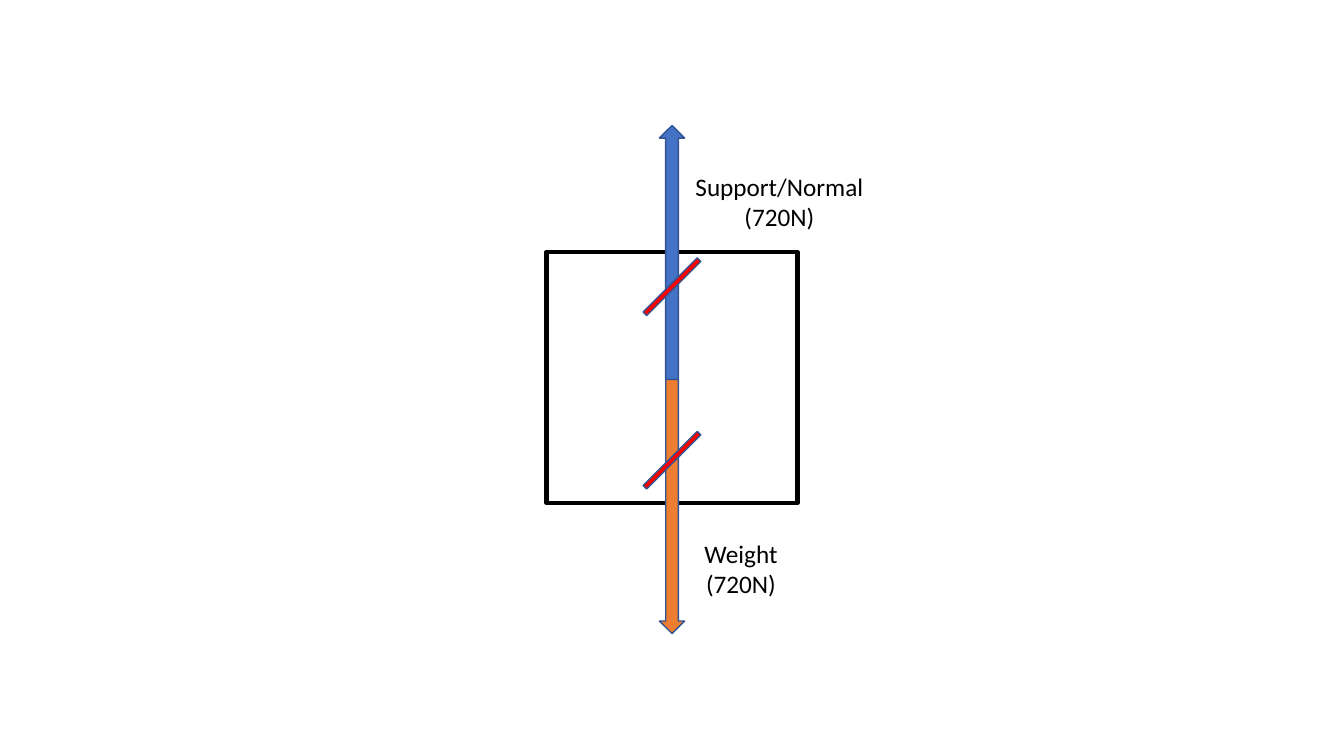
from pptx import Presentation
from pptx.dml.color import RGBColor
from pptx.enum.shapes import MSO_SHAPE
from pptx.enum.text import MSO_AUTO_SIZE, PP_ALIGN
from pptx.util import Inches, Pt

BLACK = RGBColor(0x00, 0x00, 0x00)
SUPPORT_BLUE = RGBColor(0x44, 0x72, 0xC4)
WEIGHT_ORANGE = RGBColor(0xED, 0x7D, 0x31)
TICK_RED = RGBColor(0xFF, 0x00, 0x00)
OUTLINE_BLUE = RGBColor(0x32, 0x54, 0x91)

ARROW_WIDTH, ARROW_LENGTH = 0.25, 2.52
TICK_LENGTH, TICK_THICKNESS = 0.76, 0.05
LABEL_HEIGHT = 0.71


def add_outlined(slide, preset, box, fill=None, line=OUTLINE_BLUE, weight=1, rotation=0):
    """Add a preset shape in box (left, top, width, height in inches)."""
    shape = slide.shapes.add_shape(preset, *map(Inches, box))
    shape.shadow.inherit = False
    shape.rotation = rotation
    if fill is None:
        shape.fill.background()
    else:
        shape.fill.solid()
        shape.fill.fore_color.rgb = fill
    shape.line.color.rgb = line
    shape.line.width = Pt(weight)


def add_force_label(slide, text, left, top, width):
    label = slide.shapes.add_textbox(*map(Inches, (left, top, width, LABEL_HEIGHT)))
    frame = label.text_frame
    frame.word_wrap = False
    frame.auto_size = MSO_AUTO_SIZE.SHAPE_TO_FIT_TEXT
    frame.text = text
    for paragraph in frame.paragraphs:
        paragraph.alignment = PP_ALIGN.CENTER
        for run in paragraph.runs:
            run.font.name = "Calibri"
            run.font.size = Pt(18)
            run.font.color.rgb = BLACK


def add_force_diagram(slide, left, top, side):
    """Draw the square body with two equal, opposite forces from its centre."""
    center_x = left + side / 2
    center_y = top + side / 2 + 0.02
    arrow_left = center_x - ARROW_WIDTH / 2

    add_outlined(slide, MSO_SHAPE.RECTANGLE, (left, top, side, side),
                 line=BLACK, weight=3)
    for arrow_top, color, rotation in (
        (center_y - ARROW_LENGTH, SUPPORT_BLUE, 0),
        (center_y, WEIGHT_ORANGE, 180),
    ):
        add_outlined(slide, MSO_SHAPE.UP_ARROW,
                     (arrow_left, arrow_top, ARROW_WIDTH, ARROW_LENGTH),
                     fill=color, rotation=rotation)

    add_force_label(slide, "Support/Normal\v(720N)", left + 1.37, top - 0.85, 1.88)
    add_force_label(slide, "Weight\n(720N)", left + 1.46, top + side + 0.3, 0.94)

    for tick_top in (top + 0.32, top + 2.04):
        add_outlined(slide, MSO_SHAPE.RECTANGLE,
                     (center_x - TICK_LENGTH / 2, tick_top, TICK_LENGTH, TICK_THICKNESS),
                     fill=TICK_RED, rotation=315)


def main():
    presentation = Presentation()
    presentation.slide_width = Inches(13.33)
    presentation.slide_height = Inches(7.5)
    slide = presentation.slides.add_slide(presentation.slide_layouts[6])
    add_force_diagram(slide, left=5.42, top=2.5, side=2.49)
    presentation.save("out.pptx")


if __name__ == "__main__":
    main()
